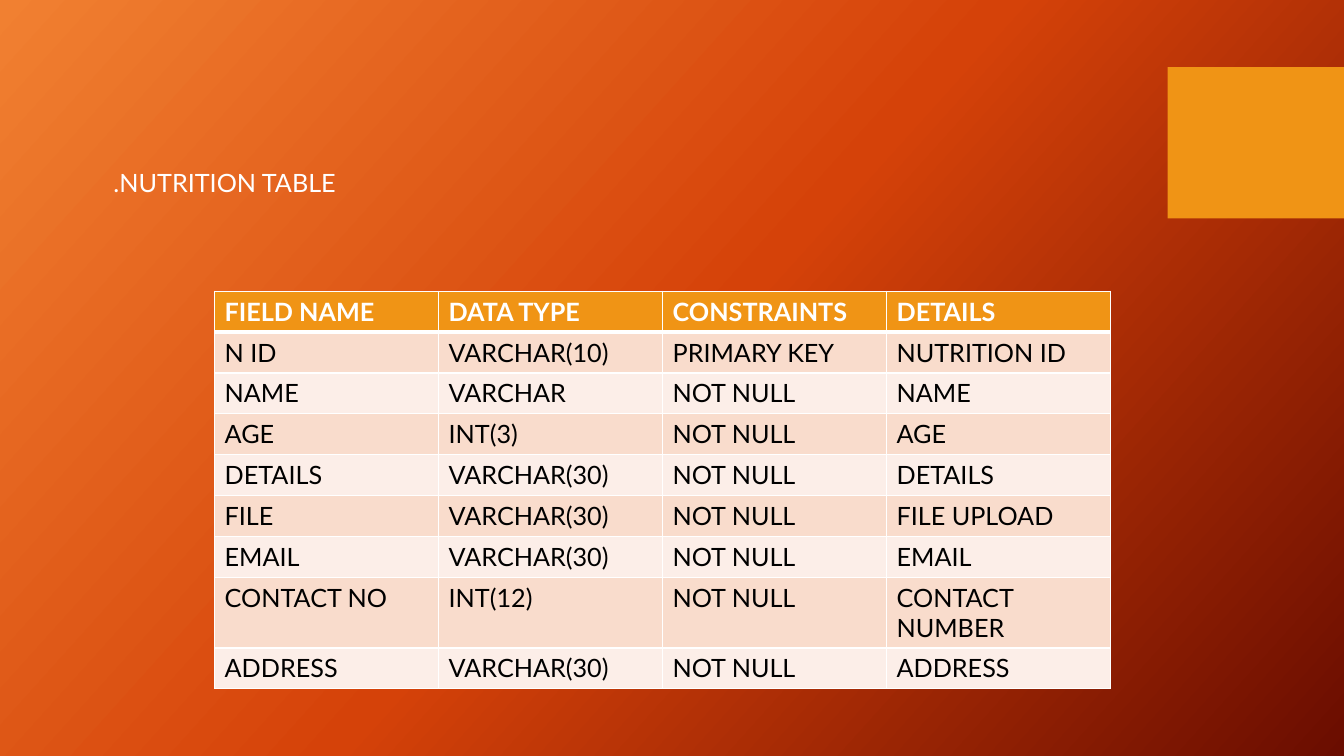
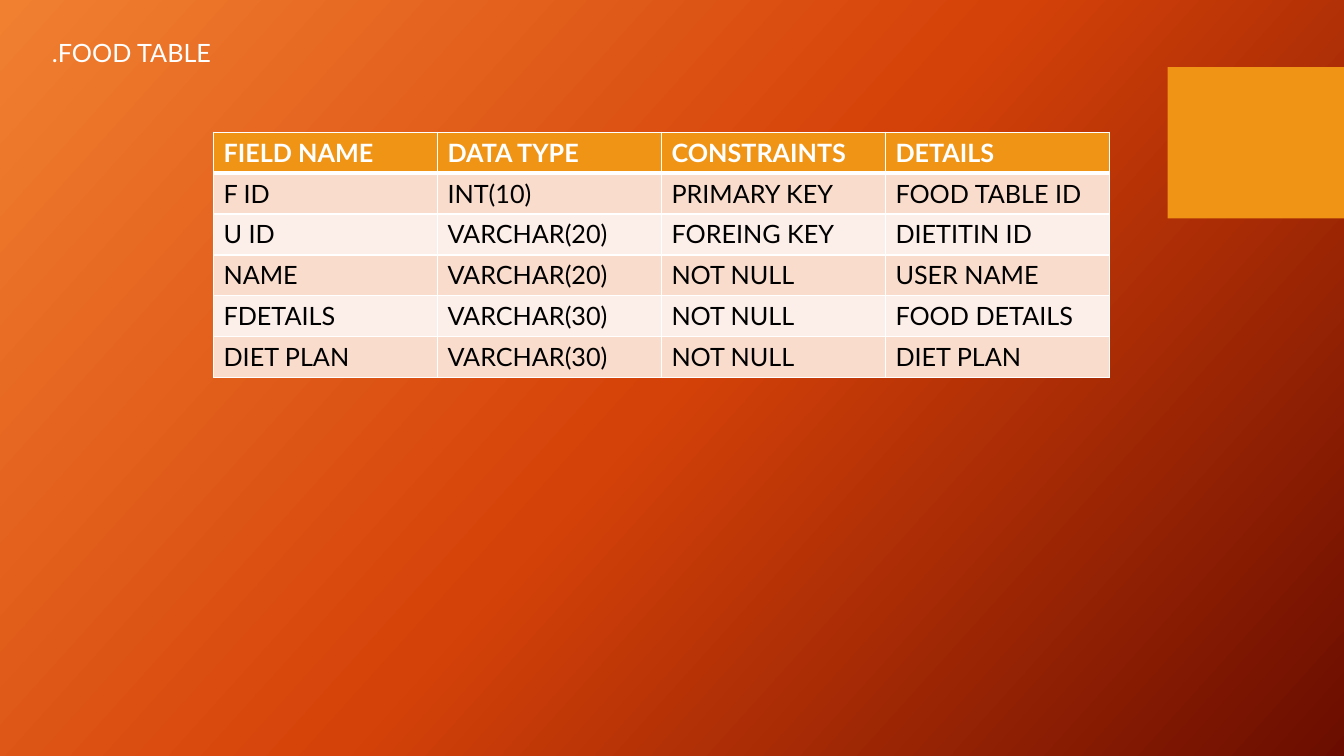
from copy import deepcopy
from dataclasses import dataclass

from lxml import etree
from pptx import Presentation
from pptx.dml.color import RGBColor
from pptx.enum.shapes import MSO_SHAPE
from pptx.enum.text import MSO_AUTO_SIZE
from pptx.oxml.ns import qn
from pptx.util import Pt

RECTANGLE = MSO_SHAPE.RECTANGLE
FIT_SHAPE = MSO_AUTO_SIZE.SHAPE_TO_FIT_TEXT


@dataclass(frozen=True)
class Theme:
    font: str = "Lato"
    text_size: float = 18
    white: str = "FFFFFF"
    black: str = "000000"
    accent: str = "F09415"
    bands: tuple = ("F9DCCC", "FCEEE8")
    backdrop: tuple = ((0, "F18031"), (0.5, "D54209"), (1, "6A0D00"))
    backdrop_angle: float = 42
    thin_border: float = 1
    thick_border: float = 3


THEME = Theme()
SLIDE_SIZE = (960, 540)
ACCENT_BLOCK = (834, 48, 126, 108)
COLUMN_WIDTH = 160
ROW_HEIGHT = 29.2
TITLE_HEIGHT = 29

HEADINGS = ("FIELD NAME", "DATA TYPE", "CONSTRAINTS", "DETAILS")

SCHEMAS = [
    {
        "title": ".NUTRITION TABLE",
        "title_at": (74, 116),
        "title_width": 246,
        "table_at": (153.3, 208),
        "fields": [
            ("N ID", "VARCHAR(10)", "PRIMARY KEY", "NUTRITION ID"),
            ("NAME", "VARCHAR", "NOT NULL", "NAME"),
            ("AGE", "INT(3)", "NOT NULL", "AGE"),
            ("DETAILS", "VARCHAR(30)", "NOT NULL", "DETAILS"),
            ("FILE", "VARCHAR(30)", "NOT NULL", "FILE UPLOAD"),
            ("EMAIL", "VARCHAR(30)", "NOT NULL", "EMAIL"),
            ("CONTACT NO", "INT(12)", "NOT NULL", "CONTACT NUMBER"),
            ("ADDRESS", "VARCHAR(30)", "NOT NULL", "ADDRESS"),
        ],
    },
    {
        "title": ".FOOD TABLE",
        "title_at": (30, 23),
        "title_width": 192,
        "table_at": (152.5, 94.5),
        "fields": [
            ("F ID", "INT(10)", "PRIMARY KEY", "FOOD TABLE ID"),
            ("U ID", "VARCHAR(20)", "FOREING KEY", "DIETITIN ID"),
            ("NAME", "VARCHAR(20)", "NOT NULL", "USER NAME"),
            ("FDETAILS", "VARCHAR(30)", "NOT NULL", "FOOD DETAILS"),
            ("DIET PLAN", "VARCHAR(30)", "NOT NULL", "DIET PLAN"),
        ],
    },
]


def rgb(color):
    return RGBColor.from_string(color)


def points(*values):
    return [Pt(value) for value in values]


def set_backdrop(master):
    fill = master.background.fill
    fill.gradient()
    fill.gradient_angle = 360 - THEME.backdrop_angle
    stop_list = master.element.find(".//" + qn("a:gsLst"))
    stop_list.insert(1, deepcopy(stop_list[0]))
    for stop, (position, color) in zip(fill.gradient_stops, THEME.backdrop):
        stop.position = position
        stop.color.rgb = rgb(color)


def write(text_frame, text, color, bold=False):
    text_frame.text = text
    font = text_frame.paragraphs[0].runs[0].font
    font.name = THEME.font
    font.size = Pt(THEME.text_size)
    font.color.rgb = rgb(color)
    font.bold = bold


def set_borders(cell, top, bottom):
    properties = cell._tc.get_or_add_tcPr()
    thin = THEME.thin_border
    for side, width in (("L", thin), ("R", thin), ("T", top), ("B", bottom)):
        line = etree.SubElement(properties, qn("a:ln" + side), w=str(Pt(width)))
        solid = etree.SubElement(line, qn("a:solidFill"))
        etree.SubElement(solid, qn("a:srgbClr"), val=THEME.white)


def add_accent_block(slide):
    block = slide.shapes.add_shape(RECTANGLE, *points(*ACCENT_BLOCK))
    block.shadow.inherit = False
    block.fill.solid()
    block.fill.fore_color.rgb = rgb(THEME.accent)
    block.line.fill.background()


def add_title(slide, schema):
    title = slide.shapes.add_textbox(
        *points(*schema["title_at"], schema["title_width"], TITLE_HEIGHT)
    )
    title.text_frame.word_wrap = True
    title.text_frame.auto_size = FIT_SHAPE
    write(title.text_frame, schema["title"], THEME.white)


def add_field_table(slide, schema):
    rows = [HEADINGS, *schema["fields"]]
    size = (COLUMN_WIDTH * len(HEADINGS), ROW_HEIGHT * len(rows))
    table = slide.shapes.add_table(
        len(rows), len(HEADINGS), *points(*schema["table_at"], *size)
    ).table
    for row_index, row in enumerate(rows):
        table.rows[row_index].height = Pt(ROW_HEIGHT)
        heading = row_index == 0
        fill = THEME.accent if heading else THEME.bands[(row_index - 1) % 2]
        color = THEME.white if heading else THEME.black
        top = THEME.thick_border if row_index == 1 else THEME.thin_border
        bottom = THEME.thick_border if heading else THEME.thin_border
        for column_index, text in enumerate(row):
            cell = table.cell(row_index, column_index)
            write(cell.text_frame, text, color, heading)
            set_borders(cell, top, bottom)
            cell.fill.solid()
            cell.fill.fore_color.rgb = rgb(fill)


def main():
    deck = Presentation()
    deck.slide_width, deck.slide_height = points(*SLIDE_SIZE)
    set_backdrop(deck.slide_master)
    blank = deck.slide_layouts[6]
    for schema in SCHEMAS:
        slide = deck.slides.add_slide(blank)
        add_accent_block(slide)
        add_title(slide, schema)
        add_field_table(slide, schema)
    deck.save("out.pptx")


if __name__ == "__main__":
    main()
